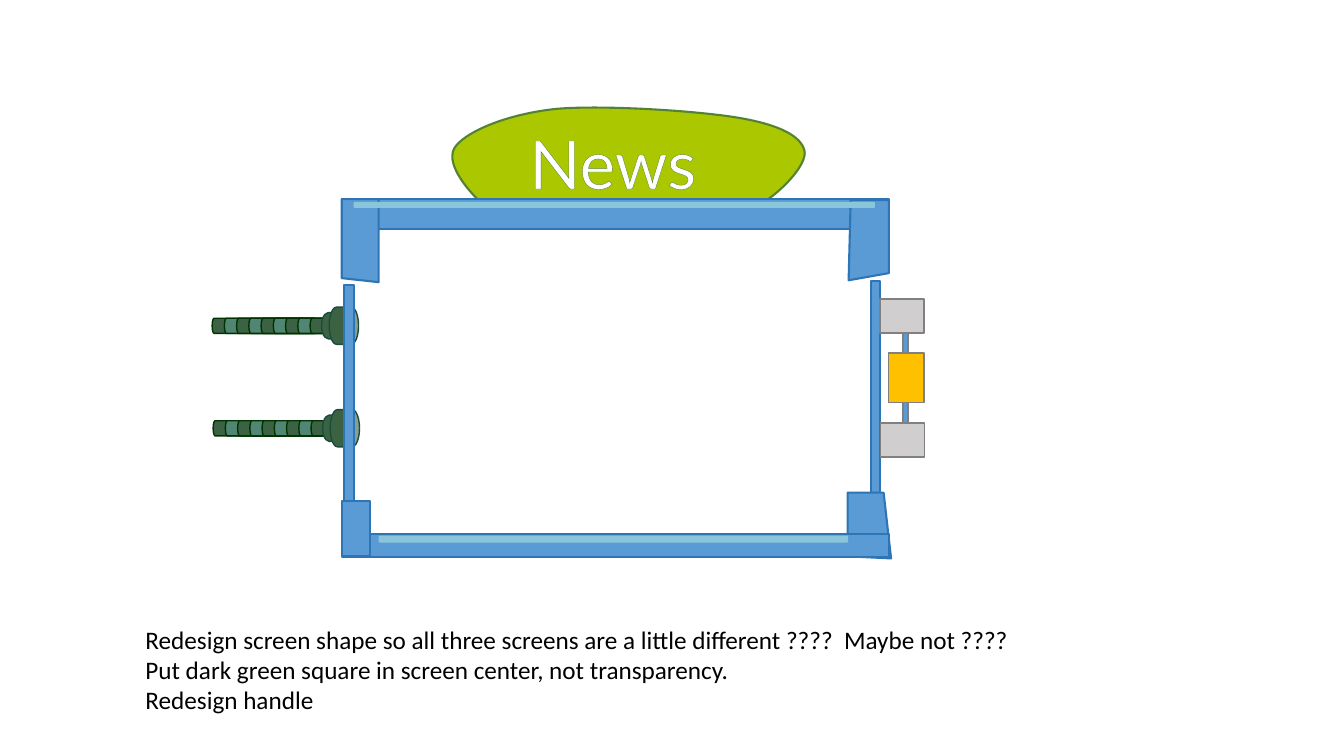
from dataclasses import dataclass

from lxml import etree
from pptx import Presentation
from pptx.dml.color import RGBColor
from pptx.enum import shapes as sh, text as tx
from pptx.oxml import ns
from pptx.util import Pt


@dataclass(frozen=True)
class Theme:
    blue: str = "5B9BD5"
    edge: str = "2E75B6"
    gloss: str = "8AC6D9"
    dark: str = "3B6243"
    teal: str = "528674"
    rim: str = "003300"
    cap: str = "1C4C3B"
    lime: str = "ABC700"
    moss: str = "548235"
    grey: str = "D0CECE"
    line: str = "808080"
    gold: str = "FFC000"
    white: str = "FFFFFF"
    black: str = "000000"
    head: int = 48
    body: int = 18


T = Theme()


def paint(shape, fill, line=None, width=1.0):
    shape.shadow.inherit = False
    shape.fill.solid()
    shape.fill.fore_color.rgb = RGBColor.from_string(fill)
    if line:
        shape.line.color.rgb = RGBColor.from_string(line)
        shape.line.width = Pt(width)
    else:
        shape.line.fill.background()


def write(words, box, font, size, color, align=tx.PP_ALIGN.LEFT, wrap=True, rim=None):
    """Add a text box, one paragraph per line; rim outlines the letters."""
    frame = slide.shapes.add_textbox(*map(Pt, box)).text_frame
    frame.word_wrap = wrap
    frame.auto_size = tx.MSO_AUTO_SIZE.SHAPE_TO_FIT_TEXT
    frame.text = words
    for para in frame.paragraphs:
        para.alignment = align
        for run in para.runs:
            run.font.name = font
            run.font.size = Pt(size)
            run.font.color.rgb = RGBColor.from_string(color)
            if rim:
                ln = etree.Element(ns.qn("a:ln"), w=str(Pt(0.75)))
                fill = etree.SubElement(ln, ns.qn("a:solidFill"))
                etree.SubElement(fill, ns.qn("a:srgbClr"), val=rim)
                run._r.get_or_add_rPr().insert(0, ln)


deck = Presentation()
deck.slide_width, deck.slide_height = Pt(960), Pt(540)
slide = deck.slides.add_slide(deck.slide_layouts[6])
add = slide.shapes.add_shape
KIND = sh.MSO_SHAPE

# Rod behind the handle
paint(add(KIND.RECTANGLE, Pt(644.9), Pt(232.6), Pt(3.6), Pt(77.8)), T.blue, T.line)

# Striped arms: left, length, thickness, fill, line, lid depth of each can
lengths = [55.4] * 4 + [38.9, 36.7] + [22.3] * 3
cans = [(151.5 + 8.75 * i, size, 10.8, (T.dark, T.teal)[i % 2], T.rim, 0.25)
        for i, size in enumerate(lengths)]
cans += [(left, 21, thick, T.dark, T.cap, 0.5)
         for left, thick in ((229.7, 18.7), (235.1, 26.6))]
for shift, mid in ((0.7, 305.9), (0, 232.7)):
    for left, size, thick, fill, line, lid in cans:
        can = add(KIND.CAN, Pt(left + shift + (size - thick) / 2), Pt(mid - size / 2),
                  Pt(thick), Pt(size))
        can.rotation = 90
        can.adjustments[0] = lid
        paint(can, fill, line)

# Sign outline: a start point, then curves of two control points and an end
outline = [
    [(545, 144.7)],
    [(557.3, 137.5), (577.4, 117.4), (574.6, 107.3)],
    [(571.7, 97.2), (557.3, 89.3), (527.8, 84.2)],
    [(498.2, 79.2), (431.3, 74.9), (397.4, 77.8)],
    [(363.6, 81.4), (335.5, 92.9), (326.2, 103.7)],
    [(316.1, 114.5), (333.4, 134.6), (340.6, 141.8)],
    [(347.8, 149), (342, 146.9), (368.6, 148.3)],
    [(395.3, 149), (471.6, 148.3), (501.1, 148.3)],
    [(530.6, 148.3), (532.8, 151.2), (545, 144.7)],
]
ends = [(Pt(x), Pt(y)) for *_, (x, y) in outline]
pen = slide.shapes.build_freeform(*ends[0])
pen.add_line_segments(ends[1:], close=True)
sign = pen.convert_to_shape()
sign.left, sign.top, sign.width, sign.height = map(Pt, (323.3, 77, 252, 72))
track = next(sign._element.iter(ns.qn("a:path")))
track.set("w", str(sign.width))
track.set("h", str(sign.height))
for step in list(track):
    track.remove(step)
for dots in outline:
    step = etree.SubElement(track, ns.qn("a:cubicBezTo" if len(dots) > 1 else "a:moveTo"))
    for x, y in dots:
        etree.SubElement(step, ns.qn("a:pt"), x=str(Pt(x) - sign.left),
                         y=str(Pt(y) - sign.top))
etree.SubElement(track, ns.qn("a:close"))
paint(sign, T.lime, T.moss, 1.5)

# Screen frame, back to front: a tuple is a box, a list is an outline
parts = [
    (622.1, 200.9, 6.5, 151.2),
    (245.5, 203.3, 7.2, 155.5),
    (244.1, 142.3, 391, 21.2),
    [(635, 143), (607.7, 143), (606.2, 200.2), (635, 195.1)],
    [(270.5, 142.3), (244.1, 142.3), (244.1, 198.7), (270.5, 201.6)],
    [(631.2, 351.9), (605.5, 351.9), (605.5, 397.4), (636.5, 398.9)],
    (244.1, 381.6, 391, 16.6),
    (244.1, 357.8, 20.2, 39.6),
]
for form in parts:
    if isinstance(form, tuple):
        part = add(KIND.RECTANGLE, *map(Pt, form))
    else:
        dots = [(Pt(x), Pt(y)) for x, y in form]
        pen = slide.shapes.build_freeform(*dots[0])
        pen.add_line_segments(dots[1:], close=True)
        part = pen.convert_to_shape()
    paint(part, T.blue, T.edge, 1.5)

write("News", (299.5, 83.5, 276.5, 65.5), "Lato", T.head, T.white,
      align=tx.PP_ALIGN.CENTER, rim=T.moss)

# Gloss on the top and bottom bars
for box in ((252.7, 144.2, 372.2, 4.3), (270.5, 382.6, 335.3, 5)):
    paint(add(KIND.ROUNDED_RECTANGLE, *map(Pt, box)), T.gloss)

write("Redesign screen shape so all three screens are a little different ????  Maybe not ????\n"
      "Put dark green square in screen center, not transparency.\n"
      "Redesign handle",
      (96.8, 442.1, 639.4, 72.7), "Calibri", T.body, T.black, wrap=False)

# Handle
for box, fill in (((628.5, 213.5, 31.7, 24.5), T.grey),
                  ((628.9, 302.1, 31.7, 24.5), T.grey),
                  ((634.8, 252.1, 25.4, 35.5), T.gold)):
    paint(add(KIND.RECTANGLE, *map(Pt, box)), fill, T.line)

deck.save("out.pptx")
